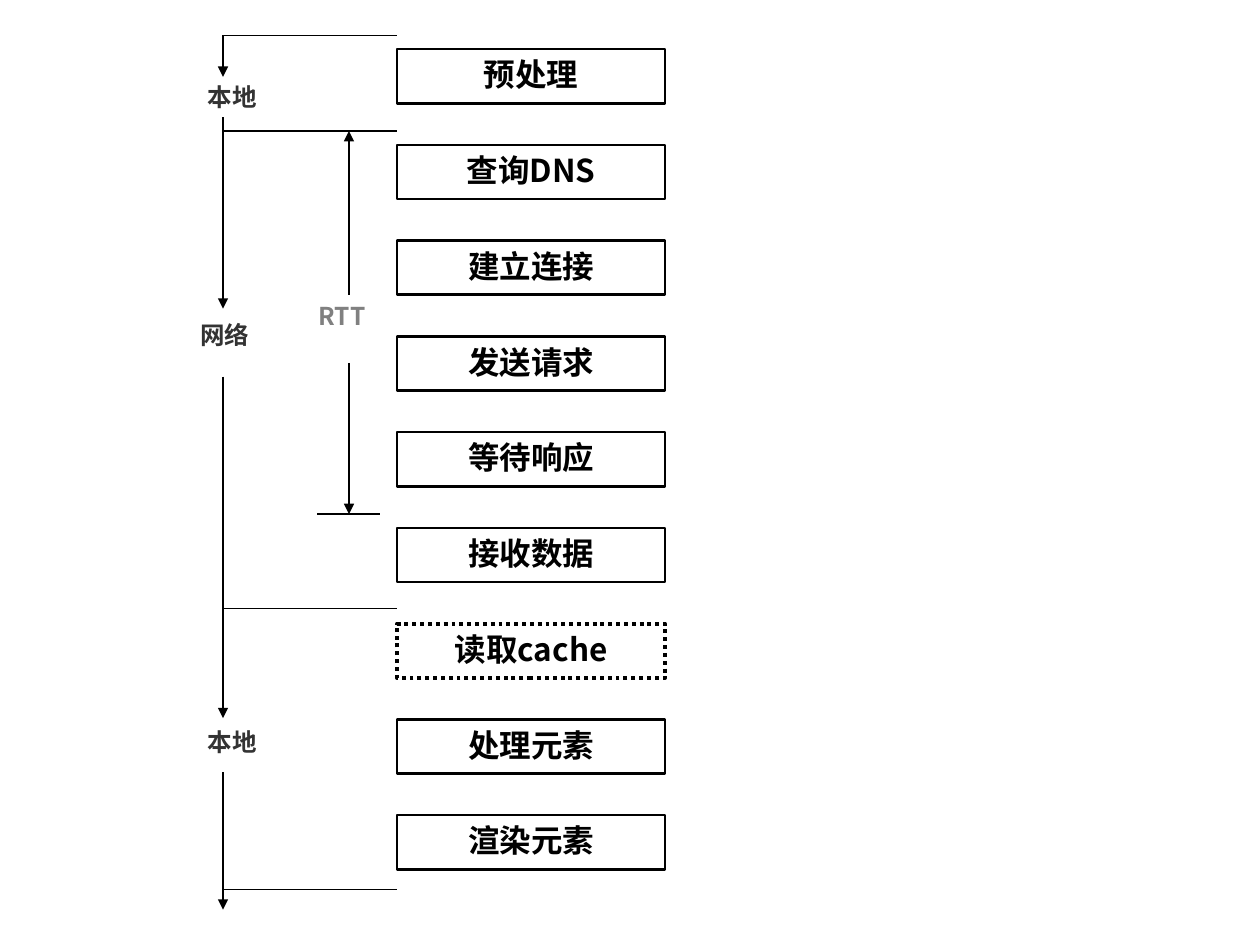
from lxml.etree import SubElement
from pptx import Presentation
from pptx.dml.color import RGBColor
from pptx.enum.dml import MSO_LINE
from pptx.enum.shapes import MSO_CONNECTOR, MSO_SHAPE
from pptx.enum.text import MSO_ANCHOR, PP_ALIGN
from pptx.oxml.ns import qn
from pptx.util import Inches, Pt

BLACK = RGBColor(0x00, 0x00, 0x00)
DARK_GRAY = RGBColor(0x33, 0x33, 0x33)
GRAY = RGBColor(0x80, 0x80, 0x80)
FONT = "Noto Sans CJK SC"

STEPS = ["预处理", "查询DNS", "建立连接", "发送请求", "等待响应",
         "接收数据", "读取cache", "处理元素", "渲染元素"]
OPTIONAL_STEP = "读取cache"
STEP_HEIGHT = 0.43
STEP_PITCH = 0.76


def write_text(shape, text, size, color):
    frame = shape.text_frame
    frame.word_wrap = True
    frame.vertical_anchor = MSO_ANCHOR.TOP
    para = frame.paragraphs[0]
    para.text = text
    para.alignment = PP_ALIGN.CENTER
    para.font.name = FONT
    para.font.size = Pt(size)
    para.font.bold = True
    para.font.color.rgb = color
    properties = para._p.get_or_add_pPr().get_or_add_defRPr()
    SubElement(properties, qn("a:ea"), typeface=FONT)


def add_label(page, text, left, top, width, height, color):
    box = page.shapes.add_textbox(Inches(left), Inches(top), Inches(width), Inches(height))
    write_text(box, text, 14, color)


def add_line(page, start_x, start_y, end_x, end_y, arrow=False):
    line = page.shapes.add_connector(MSO_CONNECTOR.STRAIGHT, Inches(start_x),
                                     Inches(start_y), Inches(end_x), Inches(end_y))
    line.line.color.rgb = BLACK
    line.line.width = Pt(0.75)
    if arrow:
        SubElement(line.line._get_or_add_ln(), qn("a:tailEnd"), type="triangle")
    SubElement(line._element.spPr, qn("a:effectLst"))


def add_steps(page, left, top, width):
    for index, step in enumerate(STEPS):
        box = page.shapes.add_shape(MSO_SHAPE.RECTANGLE, Inches(left),
                                    Inches(top + index * STEP_PITCH),
                                    Inches(width), Inches(STEP_HEIGHT))
        box.shadow.inherit = False
        box.fill.background()
        box.line.color.rgb = BLACK
        box.line.width = Pt(1.5)
        if step == OPTIONAL_STEP:
            box.line.width = Pt(2.25)
            box.line.dash_style = MSO_LINE.ROUND_DOT
        write_text(box, step, 18, BLACK)


def add_phases(page, left, top, width):
    for offset in (0, 0.76, 4.55, 6.78):
        add_line(page, left, top + offset, left + width, top + offset)
    for start, end in ((0, 0.33), (0.65, 2.17), (2.71, 5.42), (5.85, 6.94)):
        add_line(page, left, top + start, left, top + end, arrow=True)
    for text, offset, label_width, height in (("本地", 0.32, 1.25, 0.43),
                                              ("网络", 2.21, 1.13, 0.54),
                                              ("本地", 5.44, 1.25, 0.43)):
        add_label(page, text, left - 0.55, top + offset, label_width, height, DARK_GRAY)


def add_round_trip(page, left, top, width, height):
    middle = left + width / 2
    bottom = top + height
    label_top, label_height = top + 1.3, 0.54
    add_line(page, left, bottom, left + width, bottom)
    add_label(page, "RTT", middle - 0.37, label_top, 0.63, label_height, GRAY)
    add_line(page, middle, label_top, middle, top, arrow=True)
    add_line(page, middle, label_top + label_height, middle, bottom, arrow=True)


def main():
    deck = Presentation()
    deck.slide_width = Inches(10)
    deck.slide_height = Inches(7.5)
    page = deck.slides.add_slide(deck.slide_layouts[6])
    add_steps(page, 3.15, 0.39, 2.13)
    add_phases(page, 1.77, 0.28, 1.38)
    add_round_trip(page, 2.52, 1.04, 0.5, 3.04)
    deck.save("out.pptx")


if __name__ == "__main__":
    main()
